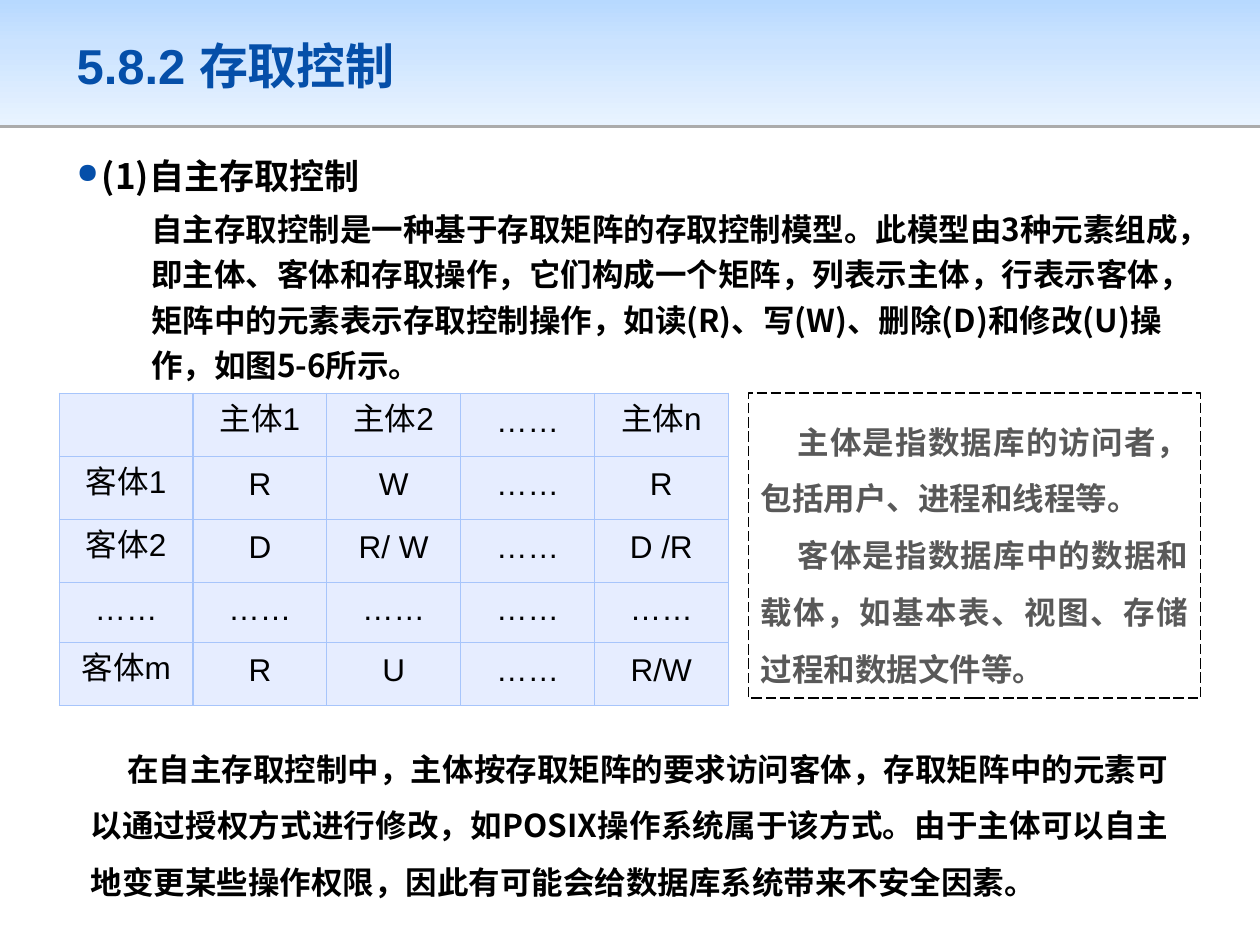
from copy import deepcopy
from pptx import Presentation
from pptx.dml.color import RGBColor
from pptx.enum.dml import MSO_LINE
from pptx.enum.shapes import MSO_SHAPE
from pptx.enum.text import MSO_ANCHOR, PP_ALIGN
from pptx.oxml import parse_xml
from pptx.oxml.ns import nsdecls, qn
from pptx.util import Inches, Pt

W, H = 10, 7.5
CJK = "Noto Sans CJK SC"
BLUE, BLACK, GRAY = "054FA9", "000000", "595959"
CELL_FILL, CELL_LINE = "E6EDFF", "A7C5FB"
BODY_LINE, NOTE_LINE, CELL_LINE_PT = 25.9, 32.4, 16.6
ROW_HEIGHTS = [0.5, 0.5, 0.5, 0.48, 0.5]
MATRIX = [
    ["", "主体1", "主体2", "……", "主体n"],
    ["客体1", "R", "W", "……", "R"],
    ["客体2", "D", "R/ W", "……", "D /R"],
    ["……"] * 5,
    ["客体m", "R", "U", "……", "R/W"],
]
MODEL = ("自主存取控制是一种基于存取矩阵的存取控制模型。此模型由3种元素组成，"
         "即主体、客体和存取操作，它们构成一个矩阵，列表示主体，行表示客体，"
         "矩阵中的元素表示存取控制操作，如读(R)、写(W)、删除(D)和修改(U)操作，如图5-6所示。")
NOTES = ["主体是指数据库的访问者，包括用户、进程和线程等。",
         "客体是指数据库中的数据和载体，如基本表、视图、存储过程和数据文件等。"]
SUMMARY = ("在自主存取控制中，主体按存取矩阵的要求访问客体，存取矩阵中的元素可以通过授权方式进行修改，"
           "如POSIX操作系统属于该方式。由于主体可以自主地变更某些操作权限，"
           "因此有可能会给数据库系统带来不安全因素。")


def rgb(color):
    return RGBColor.from_string(color)


def box(x, y, w, h):
    return [Inches(v) for v in (x, y, w, h)]


def style(p, text, size, color=BLACK, font=CJK, bold=True, align=None,
          line=None, before=0, margin=0, indent=0):
    p.text = text
    p.alignment = align
    p.space_before = Pt(before)
    if line:
        p.line_spacing = Pt(line)
    p.font.size, p.font.bold, p.font.name = Pt(size), bold, font
    p.font.color.rgb = rgb(color)
    pPr = p._p.get_or_add_pPr()
    pPr.set("marL", str(Inches(margin)))
    pPr.set("indent", str(Inches(indent)))
    ea = parse_xml(f'<a:ea {nsdecls("a")} typeface="{CJK}"/>')
    pPr.find(qn("a:defRPr")).append(ea)


def add_bullet(p, color, percent):
    defaults = p._p.pPr.find(qn("a:defRPr"))
    for xml in (f'<a:buClr {nsdecls("a")}><a:srgbClr val="{color}"/></a:buClr>',
                f'<a:buSzPct {nsdecls("a")} val="{percent * 1000}"/>',
                f'<a:buChar {nsdecls("a")} char="●"/>'):
        defaults.addprevious(parse_xml(xml))


def add_text(slide, bounds, anchor=MSO_ANCHOR.MIDDLE):
    tf = slide.shapes.add_textbox(*box(*bounds)).text_frame
    tf.word_wrap = True
    tf.vertical_anchor = anchor
    return tf


def add_header(slide, height):
    s = slide.shapes.add_shape(MSO_SHAPE.RECTANGLE, *box(0, 0, W, height))
    s.line.fill.background()
    s.fill.gradient()
    s.fill.gradient_angle = 270
    stops = s._element.spPr.find(".//" + qn("a:gsLst"))
    stops.insert(1, deepcopy(stops[0]))
    colors = [(0, "B7D9FF"), (0.35, "CBE3FF"), (1, "E8F3FF")]
    for stop, (position, color) in zip(s.fill.gradient_stops, colors):
        stop.position = position
        stop.color.rgb = rgb(color)
    s.shadow.inherit = False
    s._element.spPr.find(qn("a:effectLst")).append(parse_xml(
        f'<a:outerShdw {nsdecls("a")} blurRad="0" dist="{Pt(1.6)}" dir="5400000" '
        f'algn="t" rotWithShape="0"><a:srgbClr val="{BLACK}">'
        '<a:alpha val="33000"/></a:srgbClr></a:outerShdw>'))


def add_body(slide, bounds):
    tf = add_text(slide, bounds, MSO_ANCHOR.TOP)
    heading = tf.paragraphs[0]
    style(heading, "(1)自主存取控制", 20, line=30, margin=0.2, indent=-0.2)
    add_bullet(heading, BLUE, 80)
    style(tf.add_paragraph(), MODEL, 18, line=BODY_LINE, before=3.6, margin=0.59)


def border_cell(cell):
    tcPr = cell._tc.get_or_add_tcPr()
    for i, side in enumerate(("lnL", "lnR", "lnT", "lnB")):
        tcPr.insert(i, parse_xml(
            f'<a:{side} {nsdecls("a")} w="{Pt(0.75)}"><a:solidFill>'
            f'<a:srgbClr val="{CELL_LINE}"/></a:solidFill></a:{side}>'))


def add_matrix(slide, x, y, width):
    n = len(MATRIX[0])
    table = slide.shapes.add_table(
        len(MATRIX), n, *box(x, y, width, sum(ROW_HEIGHTS))).table
    table.first_row = table.horz_banding = False
    for col in table.columns:
        col.width = Inches(width / n)
    for r, (height, values) in enumerate(zip(ROW_HEIGHTS, MATRIX)):
        table.rows[r].height = Inches(height)
        for c, value in enumerate(values):
            cell = table.cell(r, c)
            cell.fill.solid()
            cell.fill.fore_color.rgb = rgb(CELL_FILL)
            cell.vertical_anchor = MSO_ANCHOR.MIDDLE
            cell.margin_left = cell.margin_right = Inches(0.07)
            cell.margin_top = cell.margin_bottom = Inches(0.05)
            style(cell.text_frame.paragraphs[0], value, 18, font="Arial",
                  bold=False, align=PP_ALIGN.CENTER, line=CELL_LINE_PT)
            border_cell(cell)


def add_notes_box(slide, bounds):
    s = slide.shapes.add_shape(MSO_SHAPE.RECTANGLE, *box(*bounds))
    s.shadow.inherit = False
    s.fill.background()
    s.line.color.rgb = rgb(BLACK)
    s.line.width = Pt(0.75)
    s.line.dash_style = MSO_LINE.LONG_DASH
    tf = s.text_frame
    tf.word_wrap = True
    tf.vertical_anchor = MSO_ANCHOR.MIDDLE
    for i, text in enumerate(NOTES):
        p = tf.add_paragraph() if i else tf.paragraphs[0]
        style(p, text, 18, GRAY, "Times New Roman", align=PP_ALIGN.JUSTIFY,
              line=NOTE_LINE, indent=0.29)


def main():
    prs = Presentation()
    prs.slide_width, prs.slide_height = Inches(W), Inches(H)
    slide = prs.slides.add_slide(prs.slide_layouts[6])
    left, width, middle = 0.51, 8.98, 3.12
    add_header(slide, 0.99)
    title = add_text(slide, (left, 0.16, width, 0.71))
    style(title.paragraphs[0], "5.8.2 存取控制", 28, BLUE, "Arial")
    add_body(slide, (left, 1.09, width, 5.4))
    add_matrix(slide, 0.47, middle, 5.31)
    add_notes_box(slide, (5.94, middle, 3.59, 2.42))
    summary = add_text(slide, (0.62, 5.78, 8.75, 1.39))
    style(summary.paragraphs[0], SUMMARY, 18, align=PP_ALIGN.JUSTIFY,
          line=NOTE_LINE, indent=0.29)
    prs.save("out.pptx")


if __name__ == "__main__":
    main()
